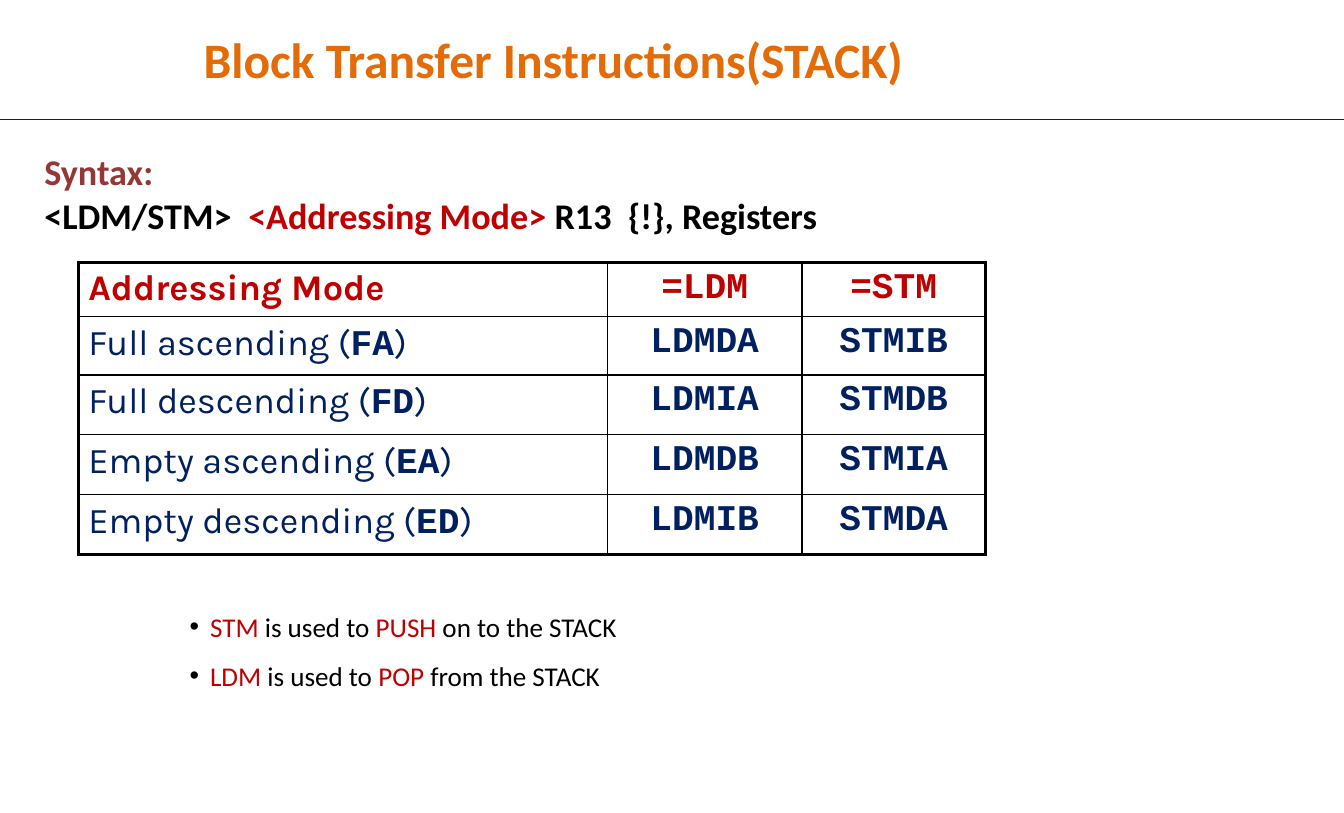
from pptx import Presentation
from pptx.dml.color import RGBColor
from pptx.enum import shapes, text
from pptx.oxml import parse_xml
from pptx.oxml import ns
from pptx.util import Cm, Pt

BLACK, RED, NAVY, BLUE = "000000", "C00000", "002060", "0000FF"
ORANGE, MAROON = "E36C09", "953734"
SANS, MONO, TABLE_FONT = "Calibri", "Courier New", "Karla"

heading = "Block Transfer Instructions(STACK)"
syntax_lines = [
    [("Syntax:", MAROON)],
    [("<LDM/STM>\t", BLACK), ("<Addressing Mode> ", RED),
     ("R13\t{!}, Registers", BLACK)],
]
syntax_tabs = [4.78, 13.68]
mode_headers = ["Addressing Mode", "=LDM", "=STM"]
modes = [
    ("Full ascending", "FA", "LDMDA", "STMIB"),
    ("Full descending", "FD", "LDMIA", "STMDB"),
    ("Empty ascending", "EA", "LDMDB", "STMIA"),
    ("Empty descending", "ED", "LDMIB", "STMDA"),
]
uses = [
    ([("STM ", RED), ("is used to ", BLACK), ("PUSH", RED),
      (" on to the STACK", BLACK)], 1.0),
    ([("LDM ", RED), ("is used to ", BLACK), ("POP", RED),
      (" from the STACK", BLACK)], 1.5),
]
column_widths = [12.4, 4.57, 4.29]
row_heights = [1.27, 1.37, 1.4, 1.4, 1.4]


def color(value):
    return RGBColor.from_string(value)


def add_run(paragraph, words, size, font, hue, bold=False):
    run = paragraph.add_run()
    run.text = words
    run.font.size = Pt(size)
    run.font.name = font
    run.font.bold = bold
    run.font.color.rgb = color(hue)


def place(shape, left, top, width, height):
    shape.left, shape.top = Cm(left), Cm(top)
    shape.width, shape.height = Cm(width), Cm(height)


def next_paragraph(frame, index):
    return frame.paragraphs[0] if index == 0 else frame.add_paragraph()


def add_property(paragraph, xml):
    paragraph._p.get_or_add_pPr().append(parse_xml(xml))


def set_borders(cell, outer_sides):
    properties = cell._tc.get_or_add_tcPr()
    for side in "LRTB":
        width = Pt(2.25 if side in outer_sides else 1)
        properties.append(parse_xml(
            f'<a:ln{side} {ns.nsdecls("a")} w="{width}"><a:solidFill>'
            f'<a:srgbClr val="{BLACK}"/></a:solidFill></a:ln{side}>'))


def add_heading(slide):
    title = slide.shapes.title
    place(title, -2.49, 0.53, 28.83, 1.7)
    frame = title.text_frame
    frame.auto_size = text.MSO_AUTO_SIZE.NONE
    frame.vertical_anchor = text.MSO_ANCHOR.MIDDLE
    frame.margin_left = Cm(2.34)
    frame.paragraphs[0].alignment = text.PP_ALIGN.CENTER
    add_run(frame.paragraphs[0], heading, 32.9, SANS, ORANGE, True)


def add_rule(slide, width):
    rule = slide.shapes.add_connector(
        shapes.MSO_CONNECTOR.STRAIGHT, 0, Cm(2.79), width, Cm(2.79))
    rule.line.color.rgb = color(BLUE)
    rule.line.width = Pt(0.75)
    rule._element.spPr.append(parse_xml(f'<a:effectLst {ns.nsdecls("a")}/>'))


def add_modes(slide):
    rows = [[[(words, TABLE_FONT if c == 0 else MONO, RED, True)]
             for c, words in enumerate(mode_headers)]]
    for mode, code, load, store in modes:
        rows.append([
            [(f"{mode} (", TABLE_FONT, NAVY, False), (code, MONO, NAVY, True),
             (")", TABLE_FONT, NAVY, False)],
            [(load, MONO, NAVY, True)],
            [(store, MONO, NAVY, True)],
        ])
    table = slide.shapes.add_table(
        len(rows), len(column_widths), Cm(1.83), Cm(6.15),
        Cm(sum(column_widths)), Cm(sum(row_heights))).table
    table.first_row = table.horz_banding = False
    for column, width in zip(table.columns, column_widths):
        column.width = Cm(width)
    for row, height in zip(table.rows, row_heights):
        row.height = Cm(height)
    for r, row in enumerate(rows):
        for c, runs in enumerate(row):
            cell = table.cell(r, c)
            outer_sides = (("L" if c == 0 else "")
                           + ("R" if c == len(row) - 1 else "")
                           + ("T" if r == 0 else "")
                           + ("B" if r == len(rows) - 1 else ""))
            set_borders(cell, outer_sides)
            cell.fill.background()
            cell.margin_left = cell.margin_right = Cm(0.24)
            paragraph = cell.text_frame.paragraphs[0]
            if c:
                paragraph.alignment = text.PP_ALIGN.CENTER
            for words, font, hue, bold in runs:
                add_run(paragraph, words, 24, font, hue, bold)


def add_syntax(slide):
    frame = slide.shapes.add_textbox(
        Cm(0.79), Cm(3.38), Cm(24.69), Cm(2.31)).text_frame
    frame.word_wrap = True
    stops = "".join(f'<a:tab pos="{Cm(stop)}" algn="l"/>' for stop in syntax_tabs)
    for index, runs in enumerate(syntax_lines):
        paragraph = next_paragraph(frame, index)
        add_property(paragraph, f'<a:tabLst {ns.nsdecls("a")}>{stops}</a:tabLst>')
        for words, hue in runs:
            add_run(paragraph, words, 24, SANS, hue, True)


def add_uses(slide):
    body = slide.placeholders[1]
    place(body, 4.19, 14.17, 13.23, 2.18)
    frame = body.text_frame
    frame.auto_size = text.MSO_AUTO_SIZE.NONE
    for index, (runs, spacing) in enumerate(uses):
        paragraph = next_paragraph(frame, index)
        properties = paragraph._p.get_or_add_pPr()
        properties.set("marL", str(Cm(0.48)))
        properties.set("indent", str(-Cm(0.48)))
        add_property(paragraph, f'<a:buClr {ns.nsdecls("a")}>'
                                f'<a:srgbClr val="{BLACK}"/></a:buClr>')
        add_property(paragraph, f'<a:buFont {ns.nsdecls("a")} typeface="Arial"/>')
        add_property(paragraph, f'<a:buChar {ns.nsdecls("a")} char="•"/>')
        paragraph.space_before = Pt(0)
        paragraph.line_spacing = spacing
        for words, hue in runs:
            add_run(paragraph, words, 18, SANS, hue)


def main():
    deck = Presentation()
    deck.slide_width, deck.slide_height = Cm(31.5), Cm(19.05)
    slide = deck.slides.add_slide(deck.slide_layouts[1])
    add_heading(slide)
    add_rule(slide, deck.slide_width)
    add_modes(slide)
    add_syntax(slide)
    add_uses(slide)
    deck.save("out.pptx")


if __name__ == "__main__":
    main()
